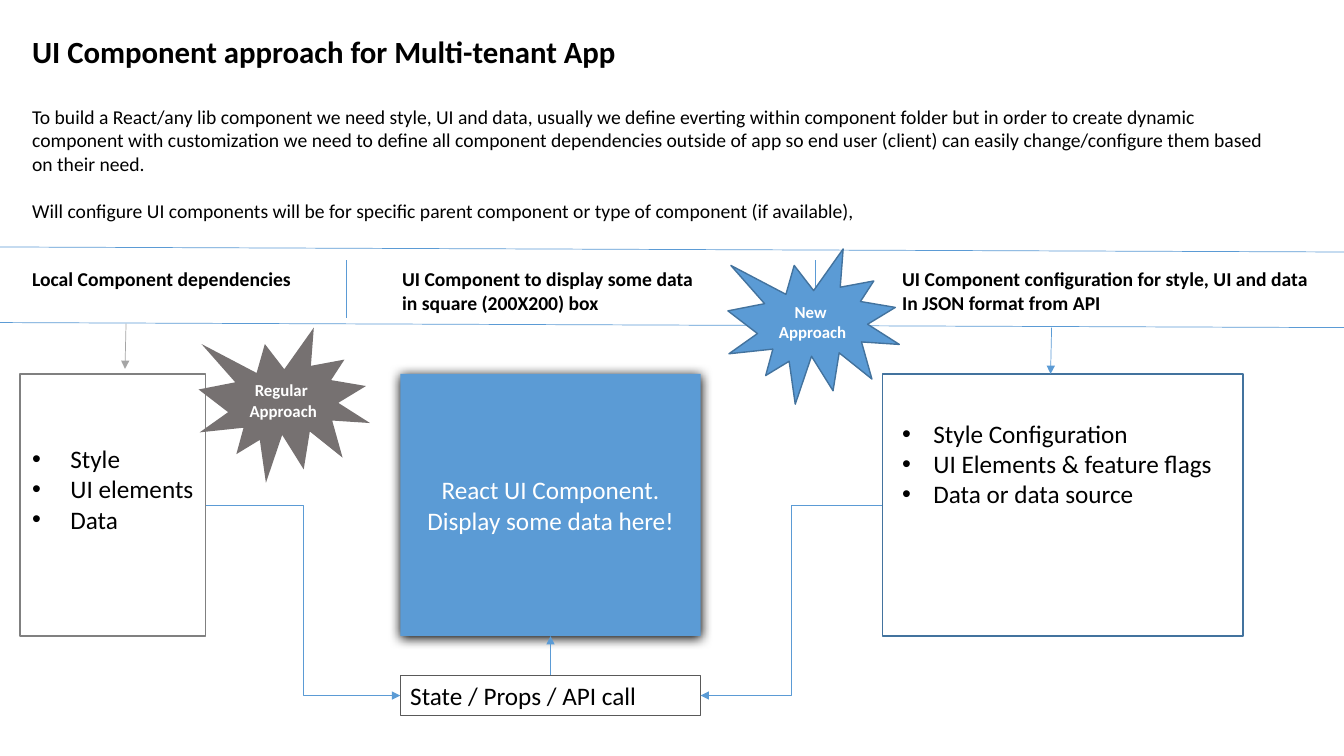
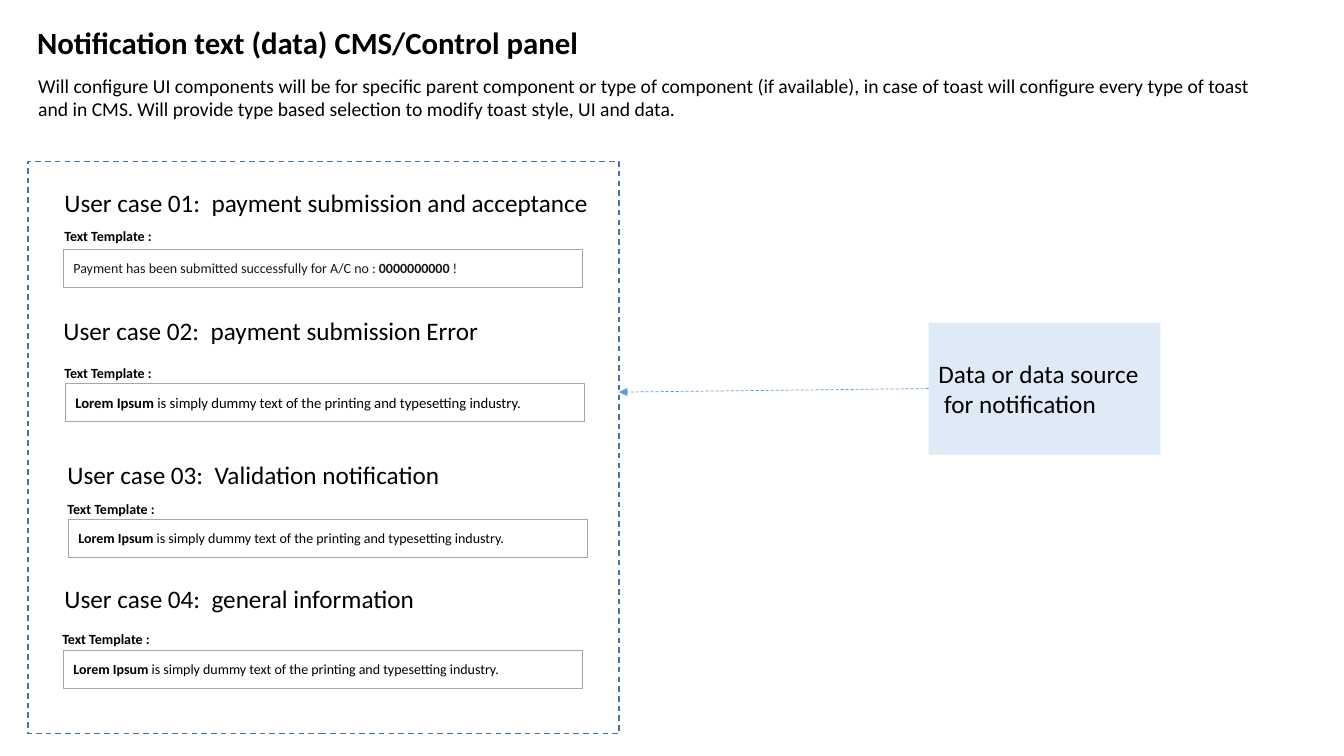
from dataclasses import dataclass
from typing import Optional

from lxml.etree import SubElement
from pptx import Presentation
from pptx.dml.color import RGBColor
from pptx.enum.dml import MSO_LINE
from pptx.enum.shapes import MSO_CONNECTOR, MSO_SHAPE
from pptx.enum.text import MSO_ANCHOR, PP_ALIGN
from pptx.oxml.ns import qn
from pptx.shapes.autoshape import Shape
from pptx.shapes.connector import Connector
from pptx.slide import Slide
from pptx.util import Inches, Pt

FONT = "Calibri"
BLACK, WHITE = "000000", "FFFFFF"
BLUE, DARK_BLUE, PALE_BLUE = "5B9BD5", "43739E", "DEEBF7"
GREY, SEAL_GREY, FIELD_GREY = "808080", "767171", "A6A6A6"
TOP, LEFT, BOTTOM, RIGHT = range(4)


@dataclass(frozen=True)
class Area:
    left: float
    top: float
    width: float
    height: float

    def lengths(self) -> tuple:
        return tuple(Inches(v) for v in (self.left, self.top, self.width, self.height))


@dataclass(frozen=True)
class Span:
    text: str
    bold: bool = False


@dataclass(frozen=True)
class TextStyle:
    size: float = 18
    bold: bool = False
    color: str = BLACK
    align: PP_ALIGN = PP_ALIGN.LEFT
    anchor: MSO_ANCHOR = MSO_ANCHOR.TOP
    line_spacing: float = 1.0
    space_after: float = 0
    bullet_indent: float = 0


@dataclass(frozen=True)
class Outline:
    color: str
    width: float
    dashed: bool = False


@dataclass(frozen=True)
class UseCase:
    heading: str
    heading_at: tuple[float, float]
    label_at: tuple[float, float]
    field_at: tuple[float, float]
    message: tuple[Span, ...]
    size: float = 10
    color: str = BLACK


TITLE = TextStyle(22, bold=True, anchor=MSO_ANCHOR.MIDDLE, line_spacing=0.9)
BODY = TextStyle(14, space_after=17)
COLUMN_HEADING = TextStyle(14, bold=True)
PLAIN = TextStyle()
SEAL = TextStyle(12, True, WHITE, PP_ALIGN.CENTER, MSO_ANCHOR.MIDDLE)
COMPONENT = TextStyle(18, False, WHITE, PP_ALIGN.CENTER, MSO_ANCHOR.MIDDLE)
THIN = Outline(BLUE, 0.5)

LOREM = (Span("Lorem Ipsum", True),
         Span(" is simply dummy text of the printing and typesetting industry."))
USE_CASES = (
    UseCase("User case 01:  payment submission and acceptance",
            (0.54, 1.81), (0.54, 2.21), (0.63, 2.47),
            (Span("Payment has been submitted successfully for A/C no : "),
             Span("0000000000", True), Span(" !")), color="181717"),
    UseCase("User case 02:  payment submission Error",
            (0.53, 3.08), (0.54, 3.57), (0.65, 3.8), LOREM, 10.5),
    UseCase("User case 03:  Validation notification",
            (0.57, 4.51), (0.57, 4.92), (0.68, 5.15), LOREM),
    UseCase("User case 04:  general information",
            (0.54, 5.74), (0.52, 6.21), (0.63, 6.45), LOREM),
)


def rgb(color: str) -> RGBColor:
    return RGBColor.from_string(color)


def add_bullet(para, indent: float) -> None:
    properties = para._p.get_or_add_pPr()
    properties.set("marL", str(Inches(indent)))
    properties.set("indent", str(-Inches(indent)))
    SubElement(properties, qn("a:buFont"), typeface="Arial")
    SubElement(properties, qn("a:buChar"), char="•")


def write(box: Shape, lines: tuple, style: TextStyle) -> None:
    """Fill a box with one paragraph per line; a line is a string or a tuple of spans."""
    frame = box.text_frame
    frame.word_wrap = True
    frame.vertical_anchor = style.anchor
    for number, line in enumerate(lines):
        para = frame.add_paragraph() if number else frame.paragraphs[0]
        layout = {"alignment": style.align, "line_spacing": style.line_spacing,
                  "space_after": Pt(style.space_after)}
        for name, value in layout.items():
            setattr(para, name, value)
        if style.bullet_indent:
            add_bullet(para, style.bullet_indent)
        for span in (Span(line, style.bold),) if isinstance(line, str) else line:
            run = para.add_run()
            run.text = span.text
            run.font.color.rgb = rgb(style.color)
            for name, value in {"name": FONT, "size": Pt(style.size), "bold": span.bold}.items():
                setattr(run.font, name, value)


def add_text(page: Slide, area: Area, lines: tuple, style: TextStyle) -> None:
    write(page.shapes.add_textbox(*area.lengths()), lines, style)


def draw_line(line, outline: Outline) -> None:
    line.color.rgb = rgb(outline.color)
    line.width = Pt(outline.width)
    if outline.dashed:
        line.dash_style = MSO_LINE.DASH


def add_box(page: Slide, area: Area, fill: Optional[str] = None,
            outline: Optional[Outline] = None, kind: MSO_SHAPE = MSO_SHAPE.RECTANGLE) -> Shape:
    box = page.shapes.add_shape(kind, *area.lengths())
    box.shadow.inherit = False
    if fill:
        box.fill.solid()
        box.fill.fore_color.rgb = rgb(fill)
    else:
        box.fill.background()
    if outline:
        draw_line(box.line, outline)
    else:
        box.line.fill.background()
    return box


def add_glow_shadow(box: Shape) -> None:
    effects = box._element.spPr.find(qn("a:effectLst"))
    shadow = SubElement(effects, qn("a:outerShdw"), blurRad=str(Pt(8.5)), dist=str(Pt(1)),
                        dir="5400000", algn="t", rotWithShape="0")
    SubElement(shadow, qn("a:srgbClr"), val=BLACK)


def add_line(page: Slide, start: tuple[float, float], end: tuple[float, float],
             outline: Outline = THIN, arrow: bool = False,
             kind: MSO_CONNECTOR = MSO_CONNECTOR.STRAIGHT) -> Connector:
    line = page.shapes.add_connector(kind, *(Inches(v) for v in (*start, *end)))
    draw_line(line.line, outline)
    if arrow:
        SubElement(line.line._get_or_add_ln(), qn("a:tailEnd"), type="triangle")
    SubElement(line._element.spPr, qn("a:effectLst"))
    return line


def join(page: Slide, source: Shape, source_side: int, target: Shape, target_side: int,
         kind: MSO_CONNECTOR = MSO_CONNECTOR.STRAIGHT) -> None:
    arrow = add_line(page, (0, 0), (1, 1), arrow=True, kind=kind)
    arrow.begin_connect(source, source_side)
    arrow.end_connect(target, target_side)


def add_intro(page: Slide, title: str, title_area: Area, body: tuple, body_area: Area) -> None:
    add_text(page, title_area, (title,), TITLE)
    add_text(page, body_area, body, BODY)


def build_approach(page: Slide) -> None:
    add_intro(
        page, "UI Component approach for Multi-tenant App", Area(0.22, 0, 11.28, 1.06),
        ("To build a React/any lib component we need style, UI and data, usually we define "
         "everting within component folder but in order to create dynamic component with "
         "customization we need to define all component dependencies outside of app so end user "
         "(client) can easily change/configure them based on their need.",
         "Will configure UI components will be for specific parent component or type of "
         "component (if available),"), Area(0.22, 0.99, 12.62, 1.28))

    component = add_box(page, Area(3.97, 3.71, 2.98, 2.6), BLUE)
    add_glow_shadow(component)
    write(component, ("React UI Component.", "Display some data here!"), COMPONENT)

    headings = (
        (0.22, 3, ("Local Component dependencies",)),
        (3.89, 3.4, ("UI Component to display some data", "in square (200X200) box")),
        (8.85, 4.4, ("UI Component configuration for style, UI and data",
                     "In JSON format from API")),
    )
    for left, width, lines in headings:
        add_text(page, Area(left, 2.6, width, 0.57), lines, COLUMN_HEADING)
    for top in (2.45, 3.2):
        add_line(page, (0, top), (13.33, top + 0.05))

    add_text(page, Area(0.22, 4.35, 2, 1.01), ("Style", "UI elements", "Data"),
             TextStyle(bullet_indent=0.38))
    add_text(page, Area(8.85, 4.1, 3.5, 1.01),
             ("Style Configuration", "UI Elements & feature flags", "Data or data source"),
             TextStyle(bullet_indent=0.31))
    configuration = add_box(page, Area(8.75, 3.71, 3.58, 2.6), outline=Outline(DARK_BLUE, 1))
    add_line(page, (10.43, 3.25), (10.42, 3.71), arrow=True)
    add_line(page, (1.25, 3.21), (1.24, 3.66), Outline("A5A5A5", 0.5), arrow=True)
    dependencies = add_box(page, Area(0.2, 3.71, 1.84, 2.6), outline=Outline(GREY, 1))
    for left in (3.44, 8.09):
        add_line(page, (left, 2.58), (left, 3.15))

    seals = (("New", 7.22, 2.47, BLUE, Outline(DARK_BLUE, 1)),
             ("Regular", 1.97, 3.25, SEAL_GREY, None))
    for word, left, top, fill, outline in seals:
        seal = add_box(page, Area(left, top, 1.7, 1.54), fill, outline, MSO_SHAPE.EXPLOSION1)
        write(seal, (f"{word} ", "Approach"), SEAL)

    state = add_box(page, Area(3.97, 6.7, 2.98, 0.4), outline=Outline("595959", 0.75))
    write(state, ("State / Props / API call",), PLAIN)
    join(page, dependencies, RIGHT, state, LEFT, MSO_CONNECTOR.ELBOW)
    join(page, state, TOP, component, BOTTOM)
    join(page, configuration, LEFT, state, RIGHT, MSO_CONNECTOR.ELBOW)


def add_use_case(page: Slide, case: UseCase) -> None:
    add_text(page, Area(*case.heading_at, 6.85, 0.4), (case.heading,), PLAIN)
    field = add_box(page, Area(*case.field_at, 5.14, 0.38), WHITE, Outline(FIELD_GREY, 0.25))
    write(field, (case.message,),
          TextStyle(case.size, color=case.color, anchor=MSO_ANCHOR.MIDDLE))
    add_text(page, Area(*case.label_at, 1.4, 0.27), ("Text Template :",), TextStyle(10, True))


def build_notifications(page: Slide) -> None:
    add_intro(
        page, "Notification text (data) CMS/Control panel", Area(0.27, 0.14, 11.35, 0.6),
        ("Will configure UI components will be for specific parent component or type of component "
         "(if available), in case of toast will configure every type of toast and in CMS. Will "
         "provide type based selection to modify toast style, UI and data.",),
        Area(0.28, 0.68, 12.47, 0.57))
    for case in USE_CASES:
        add_use_case(page, case)
    source = add_box(page, Area(9.21, 3.2, 2.3, 1.31), PALE_BLUE)
    write(source, ("Data or data source", " for notification"),
          TextStyle(anchor=MSO_ANCHOR.MIDDLE))
    add_box(page, Area(0.28, 1.6, 5.86, 5.68), outline=Outline(DARK_BLUE, 1, True))
    arrow = add_line(page, (9.21, 3.85), (6.14, 3.89), Outline(BLUE, 0.5, True), arrow=True)
    arrow.begin_connect(source, LEFT)


def main() -> None:
    deck = Presentation()
    deck.slide_width, deck.slide_height = Inches(13.33), Inches(7.5)
    for build in (build_approach, build_notifications):
        build(deck.slides.add_slide(deck.slide_layouts[6]))
    deck.save("out.pptx")


if __name__ == "__main__":
    main()
